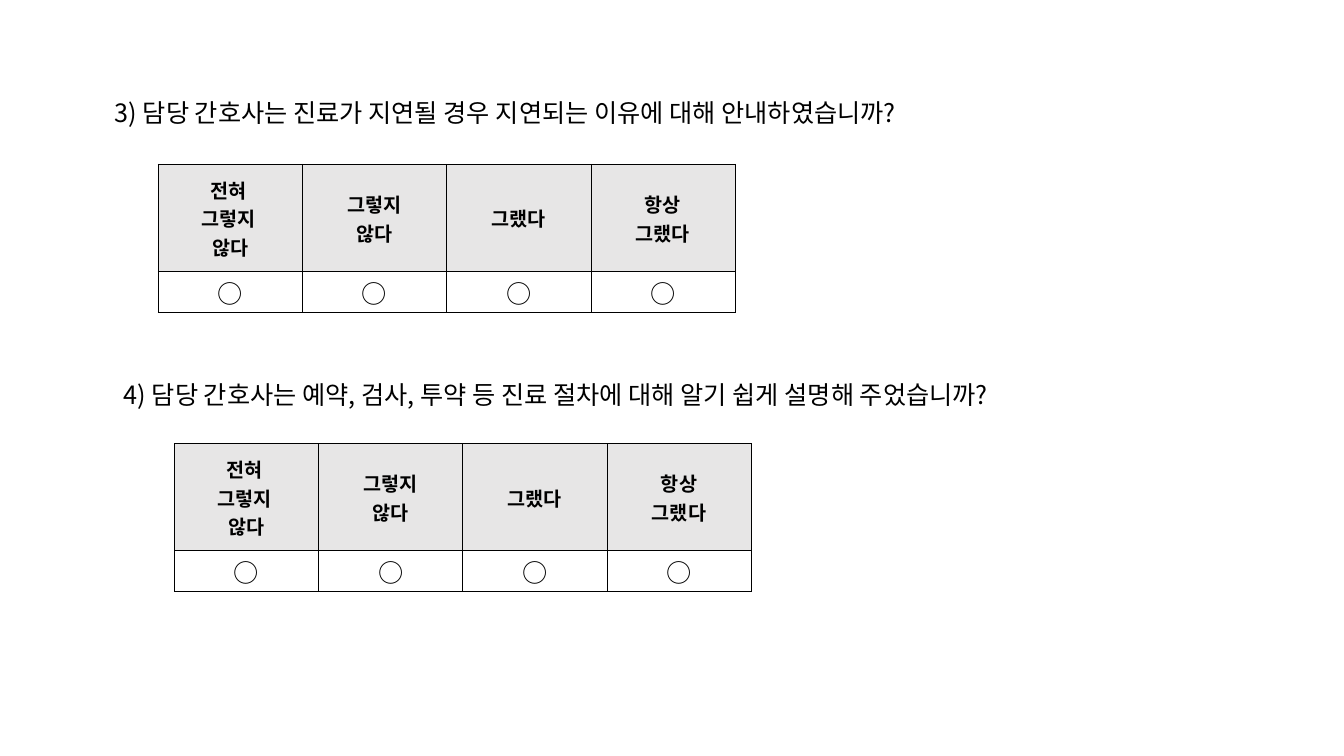
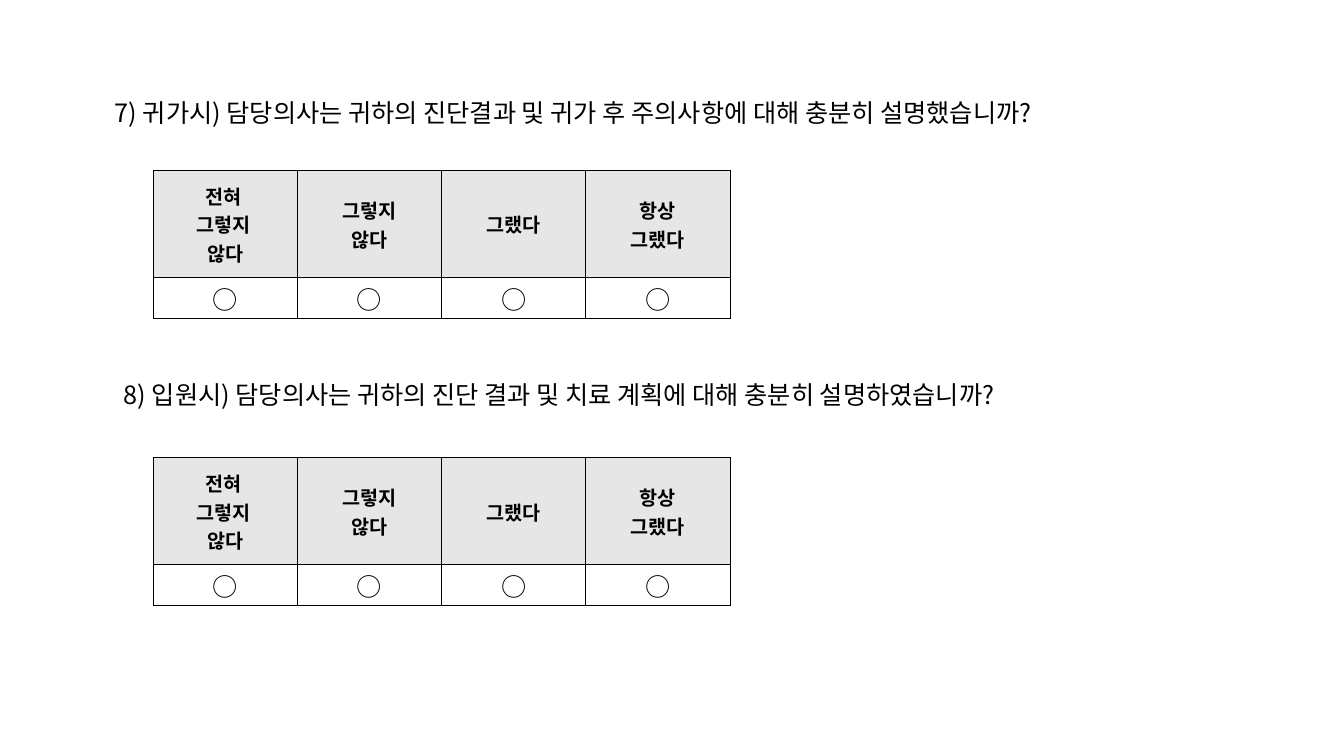
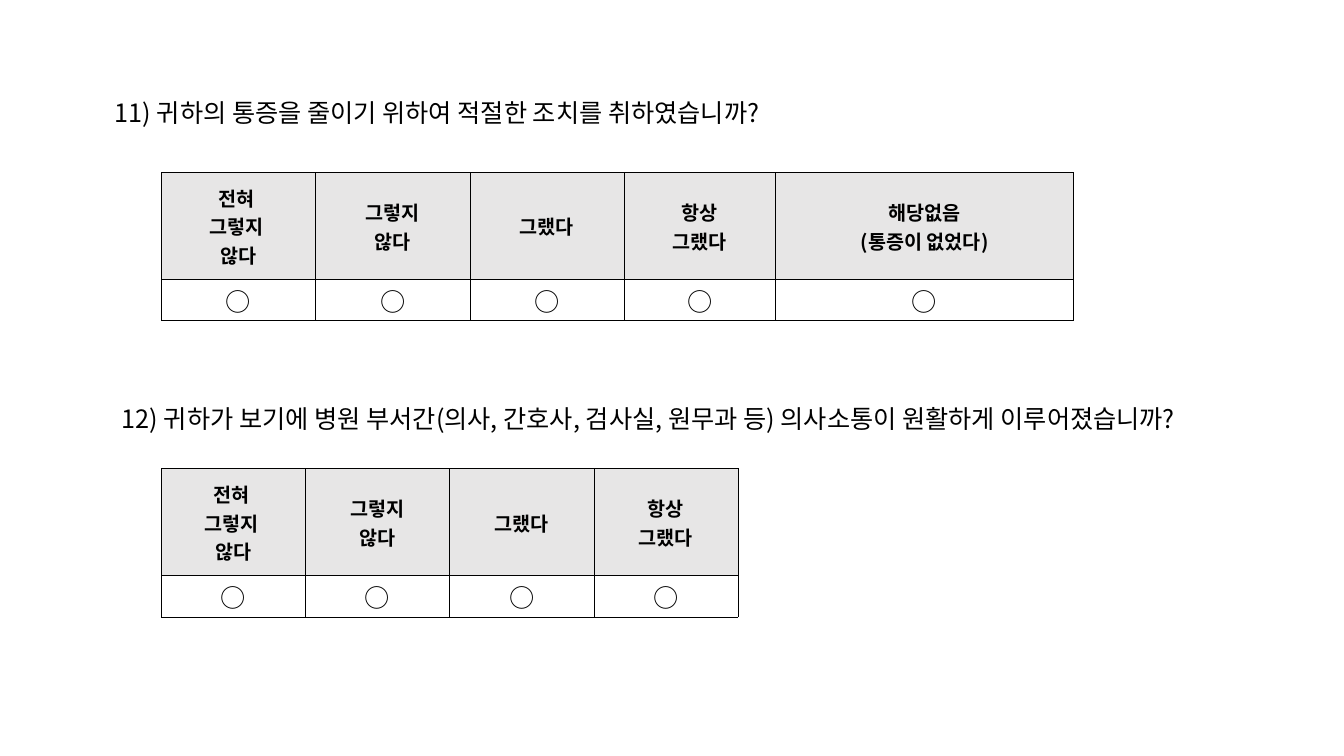
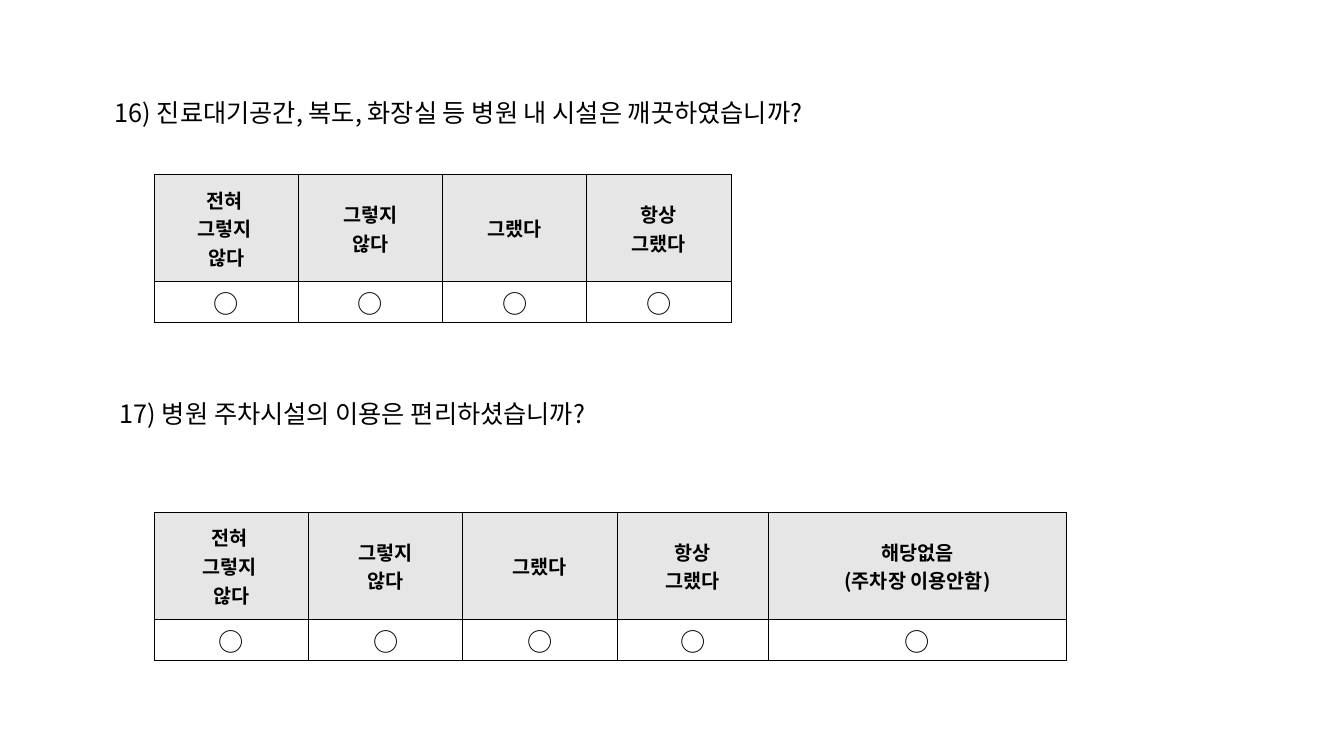
"""Builds four slides of a hospital satisfaction survey."""
from copy import deepcopy

from pptx import Presentation
from pptx import util as u
from pptx.dml.color import RGBColor
from pptx.enum import text
from pptx.oxml import ns
from pptx.oxml import xmlchemy

FONT = "Noto Sans CJK KR"
BLACK, WHITE, GREY = "000000", "FFFFFF", "E7E6E6"
MARK = "○"
SCALE = ["전혀 \v그렇지 \v않다", "그렇지\v않다", "그랬다", "항상\v그랬다"]
SCALE_WIDTHS = [1.43] * 4
EXTENDED_WIDTHS = [1.53, 1.53, 1.53, 1.5, 2.96]
ROW_HEIGHTS = [1.06, 0.41]
QUESTION_HEIGHT = 0.4

# Each question: wording, (left, top, width), answers (left, top), extra answer
SLIDES = [
    [
        ("3) 담당 간호사는 진료가 지연될 경우 지연되는 이유에 대해 안내하였습니까?",
         (1.04, 0.92, 8.91), (1.57, 1.63), None),
        ("4) 담당 간호사는 예약, 검사, 투약 등 진료 절차에 대해 알기 쉽게 설명해 주었습니까?",
         (1.13, 3.71, 10), (1.73, 4.4), None),
    ],
    [
        ("7) 귀가시) 담당의사는 귀하의 진단결과 및 귀가 후 주의사항에 대해 충분히 설명했습니까?",
         (1.04, 0.92, 10.43), (1.52, 1.69), None),
        ("8) 입원시) 담당의사는 귀하의 진단 결과 및 치료 계획에 대해 충분히 설명하였습니까?",
         (1.13, 3.71, 9.92), (1.52, 4.54), None),
    ],
    [
        ("11) 귀하의 통증을 줄이기 위하여 적절한 조치를 취하였습니까?",
         (1.04, 0.92, 7.36), (1.6, 1.71), "해당없음\n(통증이 없었다)"),
        ("12) 귀하가 보기에 병원 부서간(의사, 간호사, 검사실, 원무과 등) 의사소통이 원활하게 이루어졌습니까?",
         (1.11, 3.95, 11.82), (1.6, 4.65), None),
    ],
    [
        ("16) 진료대기공간, 복도, 화장실 등 병원 내 시설은 깨끗하였습니까?",
         (1.04, 0.92, 7.81), (1.53, 1.73), None),
        ("17) 병원 주차시설의 이용은 편리하셨습니까?",
         (1.09, 3.9, 5.32), (1.53, 5.08), "해당없음\n(주차장 이용안함)"),
    ],
]


def color(code):
    return RGBColor.from_string(code)


def add_xml(parent, tag, **attributes):
    child = parent.makeelement(ns.qn(tag), attributes)
    parent.append(child)
    return child


def write(frame, wording, size, bold=False, align=text.PP_ALIGN.LEFT):
    frame.text = wording
    for paragraph in frame.paragraphs:
        paragraph.alignment = align
        for run in paragraph.runs:
            run.font.name = FONT
            run.font.size = u.Pt(size)
            run.font.bold = bold
            run.font.color.rgb = color(BLACK)
            style = run.font._element
            add_xml(style, "a:ea", typeface=FONT)
        for line_break in paragraph._p.findall(ns.qn("a:br")):
            line_break.append(deepcopy(style))


def add_question(slide, wording, left, top, width):
    question = slide.shapes.add_textbox(
        *map(u.Inches, (left, top, width, QUESTION_HEIGHT))).text_frame
    question.word_wrap = False
    question.auto_size = text.MSO_AUTO_SIZE.SHAPE_TO_FIT_TEXT
    write(question, wording, 18)


def style_cell(cell, fill):
    cell.vertical_anchor = text.MSO_ANCHOR.MIDDLE
    cell.margin_left = cell.margin_right = cell.margin_top = u.Inches(0.01)
    cell.margin_bottom = 0
    properties = cell._tc.get_or_add_tcPr()
    for side in "LRTB":
        border = add_xml(properties, f"a:ln{side}", w=str(u.Pt(0.5)))
        add_xml(add_xml(border, "a:solidFill"), "a:srgbClr", val=BLACK)
    cell.fill.solid()
    cell.fill.fore_color.rgb = color(fill)


def add_answers(slide, left, top, extra):
    answers = SCALE + [extra] if extra else SCALE
    widths = EXTENDED_WIDTHS if extra else SCALE_WIDTHS
    table = slide.shapes.add_table(
        2, len(answers),
        *map(u.Inches, (left, top, sum(widths), sum(ROW_HEIGHTS)))).table
    table.first_row = table.horz_banding = False
    for row, height in zip(table.rows, ROW_HEIGHTS):
        row.height = u.Inches(height)
    for index, (answer, width) in enumerate(zip(answers, widths)):
        table.columns[index].width = u.Inches(width)
        for row, (wording, size, bold, fill) in enumerate(
                [(answer, 14, True, GREY), (MARK, 18, False, WHITE)]):
            cell = table.cell(row, index)
            style_cell(cell, fill)
            write(cell.text_frame, wording, size, bold, text.PP_ALIGN.CENTER)


def main():
    deck = Presentation()
    deck.slide_width, deck.slide_height = u.Inches(13.33), u.Inches(7.5)
    for questions in SLIDES:
        slide = deck.slides.add_slide(deck.slide_layouts[6])
        for wording, place, answers_place, extra in questions:
            add_question(slide, wording, *place)
            add_answers(slide, *answers_place, extra)
    deck.save("out.pptx")


if __name__ == "__main__":
    main()
